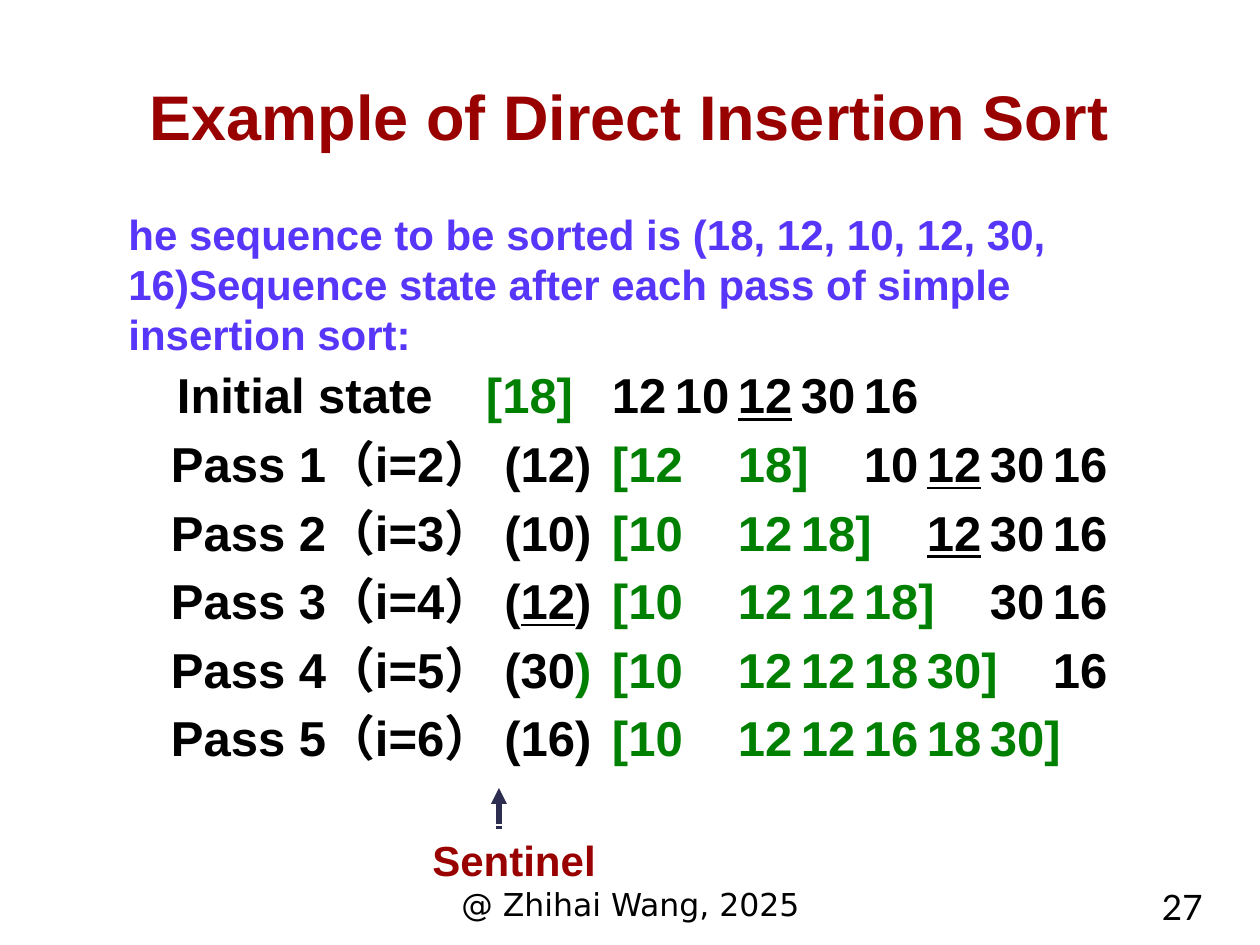
from dataclasses import dataclass

import pptx
import pptx.dml.color
import pptx.enum.shapes
import pptx.enum.text
import pptx.oxml.ns
import pptx.util
from lxml import etree

RGB = pptx.dml.color.RGBColor
ALIGN = pptx.enum.text.PP_ALIGN
ANCHOR = pptx.enum.text.MSO_ANCHOR
qn = pptx.oxml.ns.qn

RED = RGB(0x99, 0x00, 0x00)
BLUE = RGB(0x57, 0x36, 0xFA)
GREEN = RGB(0x00, 0x80, 0x00)
BLACK = RGB(0x00, 0x00, 0x00)
WHITE = RGB(0xFF, 0xFF, 0xFF)
NAVY = RGB(0x2C, 0x2D, 0x50)

SCALE = 914400 / 126
LEFT = 171    # start of the pass labels
STEP = 82     # from one number to the next
BRACKET = 16
SPACE = 14


@dataclass
class Row:
    """One pass; a word between underscores is underlined."""
    head: str
    cells: str
    done: int          # cells already sorted
    start: int = 680
    indent: int = 0
    tail: str = ""     # end of the head in the sorted colour
    wide: int = 0      # cell with one more space before it


ROWS = [
    Row("Initial state", "[18] 12 10 _12_ 30 16", 1, start=637, indent=6),
    Row("Pass 1（i=2） (12)", "[12 18] 10 _12_ 30 16", 2),
    Row("Pass 2（i=3） (10)", "[10 12 18] _12_ 30 16", 3),
    Row("Pass 3（i=4） (_12_)", "[10 12 12 18] 30 16", 4),
    Row("Pass 4（i=5） (30", "[10 12 12 18 30] 16", 5, tail=")"),
    Row("Pass 5（i=6） (16)", "[10 12 12 16 18 30]", 6, wide=4),
]


def px(num: float) -> int:
    return round(num * SCALE)


def place(shape, left: int, top: int, width: int, height: int) -> None:
    shape.left, shape.top = px(left), px(top)
    shape.width, shape.height = px(width), px(height)


def write(para, text: str, *, size: float, color: RGB, bold: bool = True,
          font: str = "Arial", align=ALIGN.LEFT) -> None:
    """Add text to a paragraph, underlining what stands between underscores."""
    para.alignment = align
    for num, part in enumerate(text.split("_")):
        if part:
            run = para.add_run()
            run.text = part
            run.font.size = pptx.util.Pt(size)
            run.font.name = font
            run.font.bold = bold
            run.font.underline = num % 2 == 1
            run.font.color.rgb = color


def add_box(slide, spot: tuple[int, int, int, int], text: str, **form):
    box = slide.shapes.add_textbox(*map(px, spot))
    box.text_frame.word_wrap = True
    write(box.text_frame.paragraphs[0], text, **form)
    return box


def tab_stops(row: Row) -> list[int]:
    """Places of the cells, each moved by the brackets before it."""
    stops = []
    for num in range(len(row.cells.split())):
        marks = (num > 0) + (num >= row.done)
        gap = SPACE if row.wide and num >= row.wide else 0
        stops.append(row.start - LEFT + num * STEP + marks * BRACKET + gap)
    return stops


def draw_row(para, row: Row) -> None:
    props = para._p.get_or_add_pPr()
    props.set("marL", "0")
    props.set("indent", str(px(row.indent)))
    etree.SubElement(props, qn("a:buNone"))
    tabs = etree.SubElement(props, qn("a:tabLst"))
    for stop in tab_stops(row):
        etree.SubElement(tabs, qn("a:tab"), pos=str(px(stop)), algn="l")
    write(para, row.head, size=28, color=BLACK)
    write(para, row.tail, size=28, color=GREEN)
    for num, cell in enumerate(row.cells.split()):
        color = GREEN if num < row.done else BLACK
        write(para, "\t" + cell, size=28, color=color)


def draw_rows(body) -> None:
    place(body, 63, 357, 1159, 441)
    frame = body.text_frame
    frame.auto_size = pptx.enum.text.MSO_AUTO_SIZE.NONE
    frame.vertical_anchor = ANCHOR.TOP
    frame.margin_left, frame.margin_top = px(LEFT - 63), px(8)
    for num, row in enumerate(ROWS):
        para = frame.add_paragraph() if num else frame.paragraphs[0]
        para.line_spacing = pptx.util.Pt(33.6)
        para.space_before = pptx.util.Pt(5.6 if num else 0)
        draw_row(para, row)


def draw_arrow(slide) -> None:
    line = slide.shapes.add_connector(
        pptx.enum.shapes.MSO_CONNECTOR.STRAIGHT,
        px(499), px(788), px(499), px(829))
    line.line.color.rgb = NAVY
    line.line.width = pptx.util.Pt(3)
    etree.SubElement(line.line._get_or_add_ln(), qn("a:headEnd"),
                     type="triangle")
    etree.SubElement(line._element.spPr, qn("a:effectLst"))


def draw_label(slide) -> None:
    label = slide.shapes.add_shape(
        pptx.enum.shapes.MSO_SHAPE.RECTANGLE,
        *map(px, (420, 825, 237, 63)))
    label.shadow.inherit = False
    label.fill.background()
    label.line.color.rgb = WHITE
    label.line.width = pptx.util.Pt(1)
    label.text_frame.margin_top = px(12)
    label.text_frame.vertical_anchor = ANCHOR.MIDDLE
    write(label.text_frame.paragraphs[0], "Sentinel", size=24, color=RED)


def main() -> None:
    deck = pptx.Presentation()
    deck.slide_width, deck.slide_height = px(1260), px(945)
    slide = deck.slides.add_slide(deck.slide_layouts[1])

    title = slide.shapes.title
    place(title, 94, 73, 1071, 84)
    title.text_frame.vertical_anchor = ANCHOR.MIDDLE
    write(title.text_frame.paragraphs[0], "Example of Direct Insertion Sort",
          size=36, color=RED, align=ALIGN.CENTER)
    draw_rows(slide.placeholders[1])

    intro = add_box(
        slide, (116, 202, 1090, 165),
        "he sequence to be sorted is (18, 12, 10, 12, 30, 16)"
        "Sequence state after each pass of simple insertion sort:",
        size=24, color=BLUE)
    intro.text_frame.paragraphs[0].line_spacing = pptx.util.Pt(28.8)

    draw_arrow(slide)
    draw_label(slide)
    add_box(slide, (431, 879, 399, 49), "@ Zhihai Wang, 2025", size=18,
            color=BLACK, bold=False, font="DejaVu Sans", align=ALIGN.CENTER)
    add_box(slide, (1022, 879, 193, 49), "27", size=20,
            color=BLACK, bold=False, font="Lato", align=ALIGN.RIGHT)
    deck.save("out.pptx")


if __name__ == "__main__":
    main()
